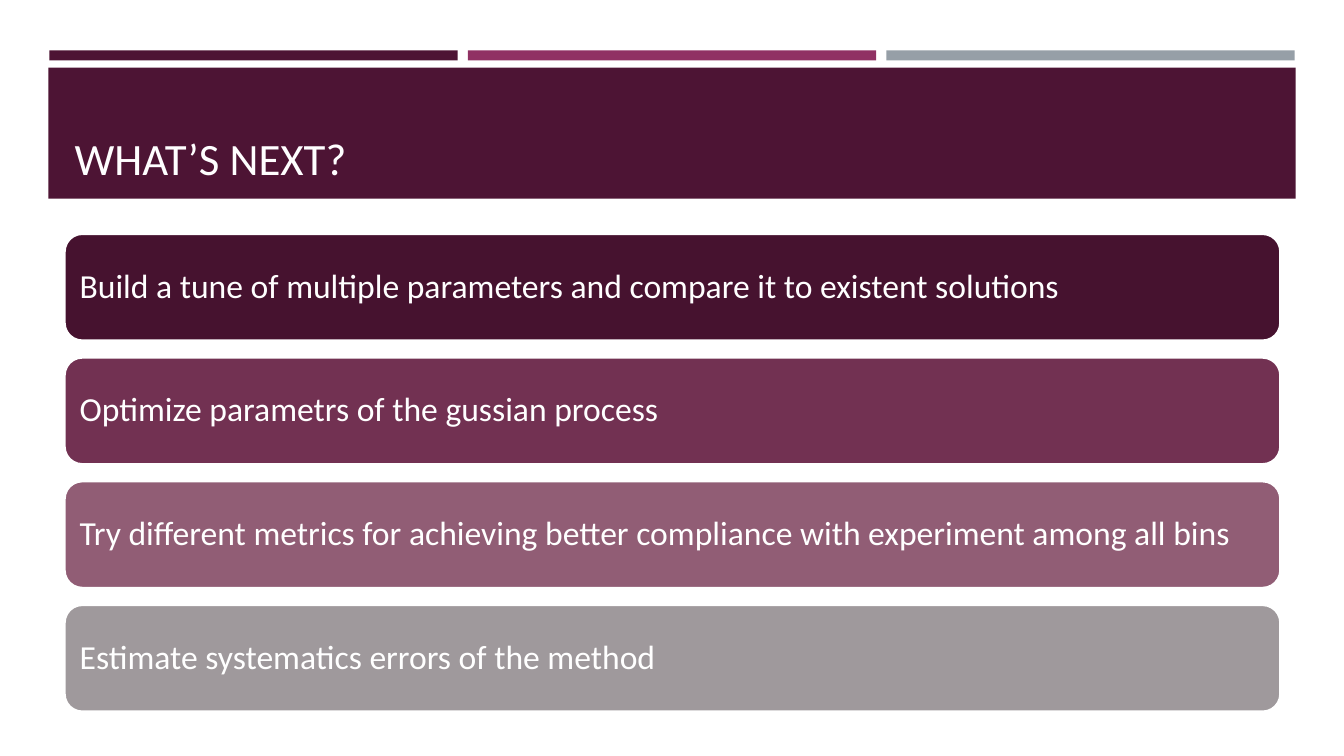
import pptx
import pptx.util
import pptx.dml.color
import pptx.enum.shapes
import pptx.enum.text

Inches = pptx.util.Inches
Pt = pptx.util.Pt
RGBColor = pptx.dml.color.RGBColor
MSO_SHAPE = pptx.enum.shapes.MSO_SHAPE
MSO_ANCHOR = pptx.enum.text.MSO_ANCHOR

PLUM = RGBColor(0x4D, 0x14, 0x34)
MAGENTA = RGBColor(0x90, 0x31, 0x63)
SLATE = RGBColor(0x96, 0x9F, 0xA7)
WHITE = RGBColor(0xFF, 0xFF, 0xFF)
TITLE_WHITE = RGBColor(0xFF, 0xFE, 0xFF)

STEPS = [
    ("Build a tune of multiple parameters and compare it to existent solutions",
     RGBColor(0x46, 0x12, 0x2F)),
    ("Optimize parametrs of the gussian process",
     RGBColor(0x72, 0x31, 0x52)),
    ("Try different metrics for achieving better compliance with experiment among all bins",
     RGBColor(0x91, 0x5D, 0x75)),
    ("Estimate systematics errors of the method",
     RGBColor(0x9F, 0x99, 0x9C)),
]


def set_text(sp, text, *, size, color, anchor, line_spacing=1.0):
    tf = sp.text_frame
    tf.word_wrap = True
    tf.auto_size = pptx.enum.text.MSO_AUTO_SIZE.NONE
    tf.vertical_anchor = anchor
    p = tf.paragraphs[0]
    p.alignment = pptx.enum.text.PP_ALIGN.LEFT
    p.line_spacing = line_spacing
    r = p.add_run()
    r.text = text
    r.font.name = "Calibri"
    r.font.size = Pt(size)
    r.font.color.rgb = color


def add_block(kind, left, top, width, height, color):
    sp = s.shapes.add_shape(
        kind, Inches(left), Inches(top), Inches(width), Inches(height))
    sp.shadow.inherit = False
    sp.fill.solid()
    sp.fill.fore_color.rgb = color
    sp.line.fill.background()
    return sp


prs = pptx.Presentation()
prs.slide_width = Inches(13.33)
prs.slide_height = Inches(7.5)
s = prs.slides.add_slide(prs.slide_layouts[5])

# Header: three accent strips above the title band
for i, color in enumerate([PLUM, MAGENTA, SLATE]):
    add_block(MSO_SHAPE.RECTANGLE, 0.49 + i * 4.15, 0.5, 4.05, 0.1, color)
add_block(MSO_SHAPE.RECTANGLE, 0.48, 0.67, 12.37, 1.3, PLUM)

title = s.shapes.title
title.left, title.top = Inches(0.64), Inches(0.77)
title.width, title.height = Inches(12.06), Inches(1.11)
set_text(title, "WHAT’S NEXT?", size=32, color=TITLE_WHITE,
         anchor=MSO_ANCHOR.BOTTOM)
# Bring the title in front of its band
title.element.getparent().append(title.element)

# Next steps, stacked at an even pitch
for i, (text, color) in enumerate(STEPS):
    sp = add_block(MSO_SHAPE.ROUNDED_RECTANGLE,
                   0.64, 2.32 + i * 1.227, 12.06, 1.06, color)
    sp.line.color.rgb = WHITE
    sp.line.width = Pt(1.75)
    tf = sp.text_frame
    tf.margin_left = tf.margin_right = Inches(0.1)
    tf.margin_top = tf.margin_bottom = Inches(0.1)
    set_text(sp, text, size=24, color=WHITE, anchor=MSO_ANCHOR.MIDDLE,
             line_spacing=0.9)

prs.save("out.pptx")
